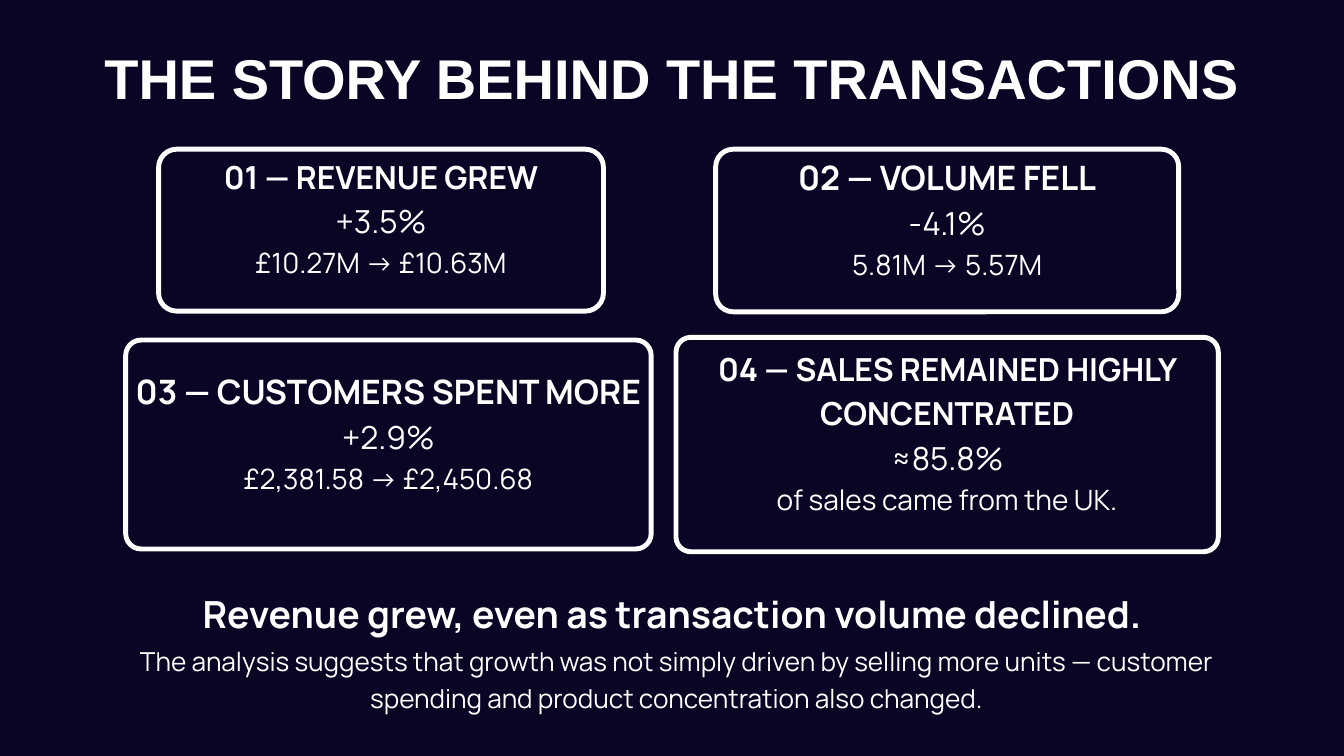
from dataclasses import dataclass

from pptx import Presentation
from pptx.dml.color import RGBColor
from pptx.enum.shapes import MSO_SHAPE
from pptx.enum.text import MSO_ANCHOR, PP_ALIGN
from pptx.slide import Slide
from pptx.util import Inches, Pt

ROUND = MSO_SHAPE.ROUNDED_RECTANGLE
TOP = MSO_ANCHOR.TOP
MIDDLE = MSO_ANCHOR.MIDDLE
CENTER = PP_ALIGN.CENTER

COLORS = {"back": "0A0425", "white": "FFFFFF"}
LEADING = 1.4
LIFT = 0.44


@dataclass
class Line:
    text: str
    size: float
    bold: bool = False
    font: str = "Manrope"


@dataclass
class Box:
    left: float
    top: float
    width: float
    height: float


@dataclass
class Card:
    box: Box
    radius: float
    head: str
    size: float
    value: str
    note: str


CARDS = [
    Card(Box(2.36, 2.22, 6.62, 2.41), 0.27, "01 — REVENUE GREW", 34,
         "+3.5%", "£10.27M → £10.63M"),
    Card(Box(10.65, 2.22, 6.89, 2.42), 0.26, "02 — VOLUME FELL", 36,
         "-4.1%", "5.81M → 5.57M"),
    Card(Box(1.87, 5.06, 7.82, 3.11), 0.23, "03 — CUSTOMERS SPENT MORE", 36,
         "+2.9%", "£2,381.58 → £2,450.68"),
    Card(Box(10.06, 5.02, 8.07, 3.19), 0.22,
         "04 — SALES REMAINED HIGHLY CONCENTRATED", 34,
         "≈85.8%", "of sales came from the UK."),
]

TEXTS = [
    (Box(1.36, 0.48, 17.27, 1.14),
     Line("THE STORY BEHIND THE TRANSACTIONS", 60, True, "Arial")),
    (Box(2.3, 8.68, 15.4, 0.78),
     Line("Revenue grew, even as transaction volume declined.", 40, True)),
    (Box(1.36, 9.53, 17.41, 1.1),
     Line("The analysis suggests that growth was not simply driven by selling "
          "more units — customer spending and product concentration also "
          "changed.", 28)),
]


def color(name: str) -> RGBColor:
    return RGBColor.from_string(COLORS[name])


def place(box: Box) -> tuple:
    return tuple(Inches(n) for n in (box.left, box.top, box.width, box.height))


def add_text(slide: Slide, box: Box, lines: list[Line],
             anchor: MSO_ANCHOR = TOP, inset: float = 0) -> None:
    frame = slide.shapes.add_textbox(*place(box)).text_frame
    frame.word_wrap = True
    frame.vertical_anchor = anchor
    frame.margin_left = frame.margin_right = Inches(inset)
    frame.margin_top = frame.margin_bottom = Inches(inset)
    for i, line in enumerate(lines):
        para = frame.add_paragraph() if i else frame.paragraphs[0]
        para.text = line.text
        para.alignment = CENTER
        para.line_spacing = Pt(line.size * LEADING)
        para.font.name = line.font
        para.font.size = Pt(line.size)
        para.font.bold = line.bold
        para.font.color.rgb = color("white")


def add_card(slide: Slide, card: Card) -> None:
    box = card.box
    frame = slide.shapes.add_shape(ROUND, *place(box))
    frame.adjustments[0] = card.radius / box.height
    frame.shadow.inherit = False
    frame.fill.background()
    frame.line.color.rgb = color("white")
    frame.line.width = Pt(5.25)
    area = Box(box.left, box.top - LIFT, box.width, box.height + LIFT)
    lines = [Line(card.head, card.size, True), Line(card.value, 34),
             Line(card.note, 30)]
    add_text(slide, area, lines, MIDDLE, 0.06)


def main() -> None:
    deck = Presentation()
    deck.slide_width = Inches(20)
    deck.slide_height = Inches(11.25)
    slide = deck.slides.add_slide(deck.slide_layouts[6])
    fill = slide.background.fill
    fill.solid()
    fill.fore_color.rgb = color("back")
    for card in CARDS:
        add_card(slide, card)
    for box, line in TEXTS:
        add_text(slide, box, [line])
    deck.save("out.pptx")


if __name__ == "__main__":
    main()
